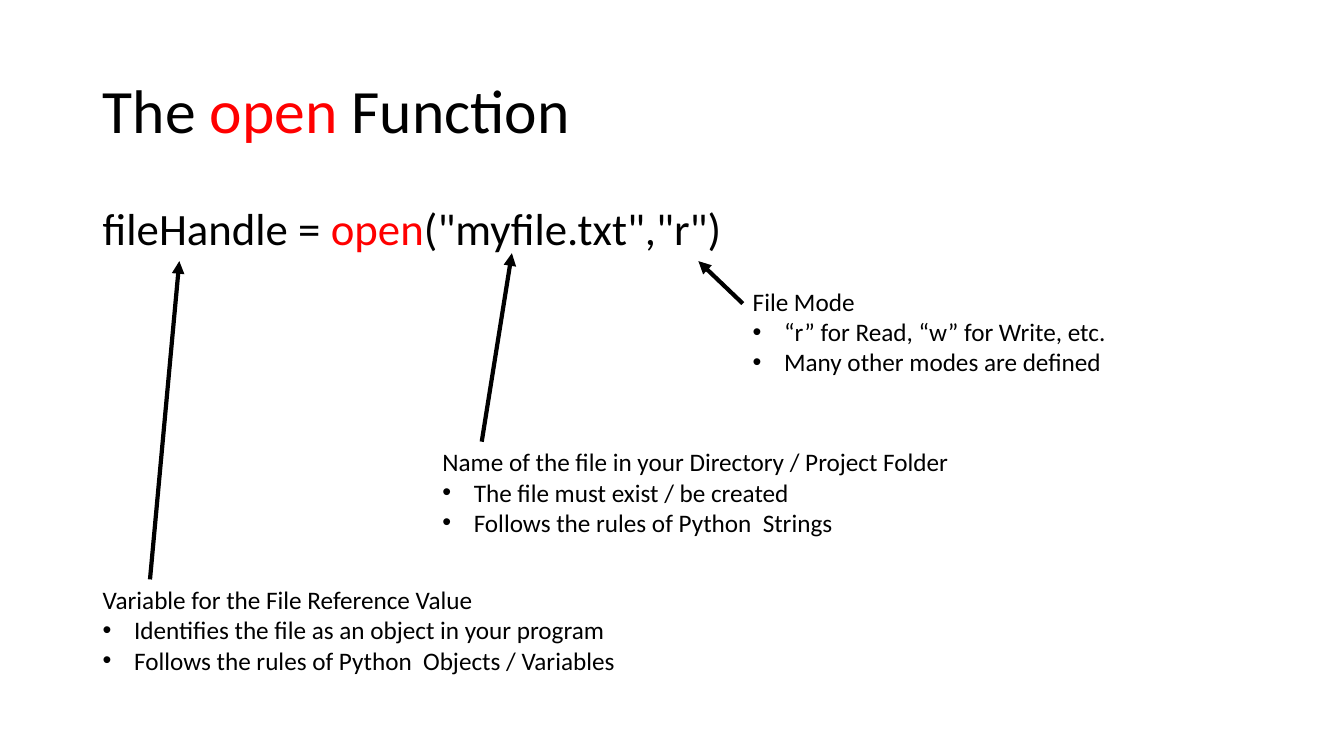
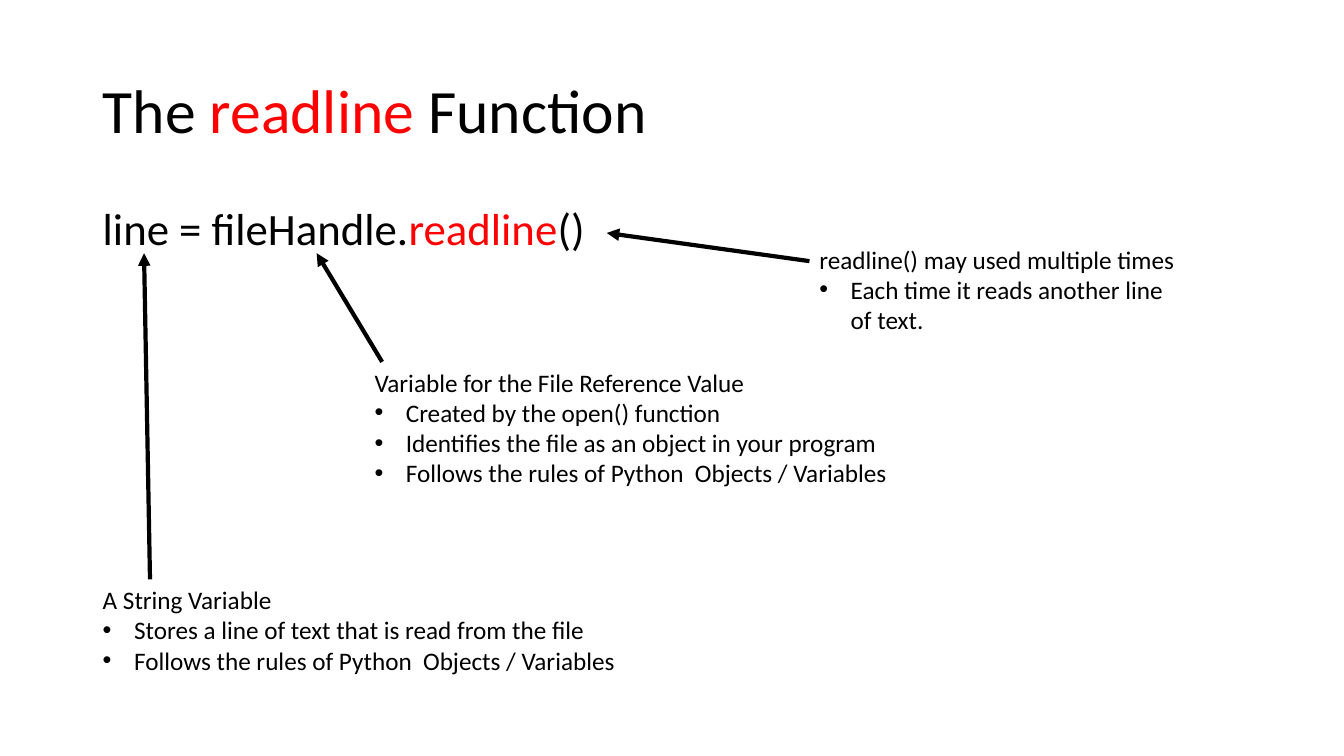
"""Build two slides that explain the open and readline functions."""
import pptx
import pptx.dml.color
import pptx.enum.shapes
import pptx.enum.text
import pptx.oxml
import pptx.oxml.ns
import pptx.util

Cm = pptx.util.Cm
Pt = pptx.util.Pt

COLOURS = {"text": "000000", "keyword": "FF0000"}
FONT = "Calibri"
LEFT = 2.34
INDENT = 0.79
LINE_HEIGHT = 0.77
BOX_PADDING = 0.25
MIN_LINES = 3

HEADINGS = {
    "title": {
        "area": (LEFT, 1.02, 29.21, 3.68),
        "size": 44,
        "anchor": pptx.enum.text.MSO_ANCHOR.MIDDLE,
        "format": {"line_spacing": 0.9},
    },
    "code": {
        "area": (LEFT, 5.08, 29.21, 12.1),
        "size": 32,
        "anchor": pptx.enum.text.MSO_ANCHOR.TOP,
        "format": {"line_spacing": 0.9, "space_before": Pt(10)},
    },
}
NOTE_SIZE = 18

SLIDES = [
    {
        "title": ("The ", "open", " Function"),
        "code": ("fileHandle = ", "open", '("myfile.txt","r")'),
        "notes": [
            {
                "area": (LEFT, 14.6, 13.56),
                "heading": "Variable for the File Reference Value",
                "bullets": [
                    "Identifies the file as an object in your program",
                    "Follows the rules of Python  Objects / Variables",
                ],
                "arrow": (3.78, 14.6, 4.52, 6.58),
            },
            {
                "area": (10.9, 11.13, 13.41),
                "heading": "Name of the file in your Directory / Project Folder",
                "bullets": [
                    "The file must exist / be created",
                    "Follows the rules of Python  Strings",
                ],
                "arrow": (12.14, 11.13, 12.9, 6.38),
            },
            {
                "area": (18.72, 7.09, 9.5),
                "heading": "File Mode",
                "bullets": [
                    "“r” for Read, “w” for Write, etc.",
                    "Many other modes are defined",
                ],
                "arrow": (18.72, 7.65, 17.6, 6.58),
            },
        ],
    },
    {
        "title": ("The ", "readline", " Function"),
        "code": ("line = fileHandle.", "readline", "()"),
        "notes": [
            {
                "area": (9.19, 9.12, 13.56),
                "heading": "Variable for the File Reference Value",
                "bullets": [
                    "Created by the open() function",
                    "Identifies the file as an object in your program",
                    "Follows the rules of Python  Objects / Variables",
                ],
                "arrow": (9.63, 9.12, 7.98, 6.38),
            },
            {
                "area": (LEFT, 14.6, 13.56),
                "heading": "A String Variable",
                "bullets": [
                    "Stores a line of text that is read from the file",
                    "Follows the rules of Python  Objects / Variables",
                ],
                "arrow": (3.78, 14.6, 3.63, 6.38),
            },
            {
                "area": (20.4, 6.02, 9.5),
                "heading": "readline() may used multiple times",
                "bullets": ["Each time it reads another line of text."],
                "arrow": (20.4, 6.58, 15.29, 5.87),
            },
        ],
    },
]


def set_format(target, values):
    for name, value in values.items():
        setattr(target, name, value)


def add_child(parent, tag, **attributes):
    child = pptx.oxml.parse_xml(f"<a:{tag} {pptx.oxml.ns.nsdecls('a')}/>")
    for name, value in attributes.items():
        child.set(name, value)
    parent.append(child)


def add_box(page, area, anchor=pptx.enum.text.MSO_ANCHOR.TOP):
    frame = page.shapes.add_textbox(*map(Cm, area)).text_frame
    set_format(frame, {"word_wrap": True, "vertical_anchor": anchor})
    return frame


def add_span(para, text, size, colour="text"):
    span = para.add_run()
    span.text = text
    set_format(span.font, {"name": FONT, "size": Pt(size)})
    span.font.color.rgb = pptx.dml.color.RGBColor.from_string(COLOURS[colour])


def add_heading(page, style, parts):
    para = add_box(page, style["area"], style["anchor"]).paragraphs[0]
    set_format(para, style["format"])
    for text, colour in zip(parts, ("text", "keyword", "text")):
        add_span(para, text, style["size"], colour)


def add_bullet(para):
    properties = para._p.get_or_add_pPr()
    properties.set("marL", str(Cm(INDENT)))
    properties.set("indent", str(-Cm(INDENT)))
    add_child(properties, "buFont", typeface="Arial")
    add_child(properties, "buChar", char="•")


def add_arrow(page, ends):
    arrow = page.shapes.add_connector(
        pptx.enum.shapes.MSO_CONNECTOR.STRAIGHT, *map(Cm, ends))
    arrow.line.width = Pt(3)
    arrow.line.color.rgb = pptx.dml.color.RGBColor.from_string(COLOURS["text"])
    add_child(arrow.line._get_or_add_ln(), "tailEnd", type="triangle")
    add_child(arrow._element.spPr, "effectLst")


def add_note(page, note):
    lines = max(MIN_LINES, 1 + len(note["bullets"]))
    height = lines * LINE_HEIGHT + BOX_PADDING
    frame = add_box(page, (*note["area"], height))
    add_span(frame.paragraphs[0], note["heading"], NOTE_SIZE)
    for text in note["bullets"]:
        para = frame.add_paragraph()
        add_bullet(para)
        add_span(para, text, NOTE_SIZE)
    add_arrow(page, note["arrow"])


def main():
    deck = pptx.Presentation()
    set_format(deck, {"slide_width": Cm(33.87), "slide_height": Cm(19.05)})
    for content in SLIDES:
        page = deck.slides.add_slide(deck.slide_layouts[6])
        for name, style in HEADINGS.items():
            add_heading(page, style, content[name])
        for note in content["notes"]:
            add_note(page, note)
    deck.save("out.pptx")


if __name__ == "__main__":
    main()
